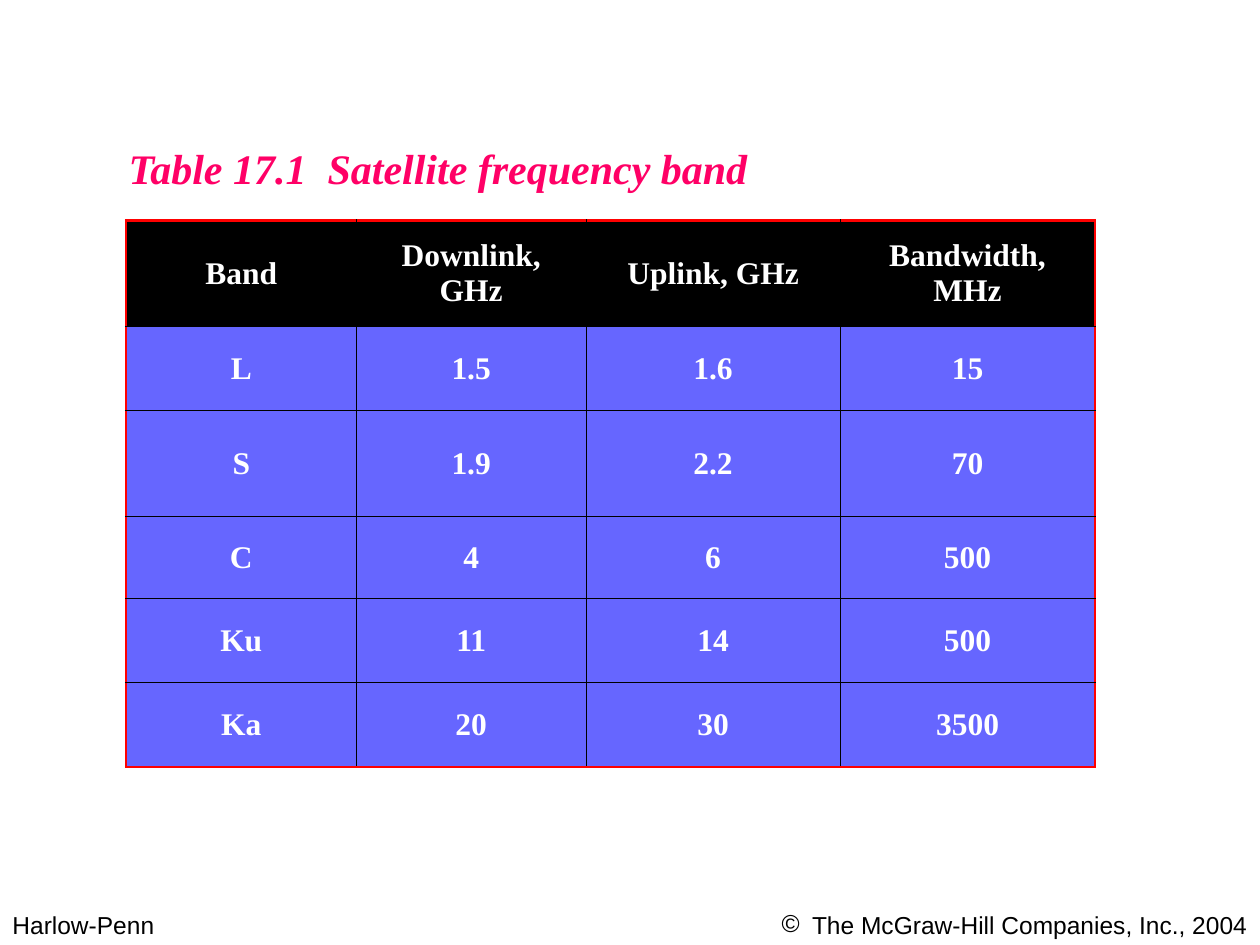
"""Build a slide with a table of satellite frequency bands."""
from dataclasses import dataclass

from lxml.etree import SubElement
from pptx import Presentation
from pptx.dml.color import RGBColor
from pptx.enum.text import MSO_ANCHOR as Anchor, PP_ALIGN as Align
from pptx.oxml.ns import qn
from pptx.util import Inches, Pt


@dataclass(frozen=True)
class Theme:
    title: str = "FF0066"
    ink: str = "000000"
    light: str = "FFFFFF"
    body: str = "6666FF"
    frame: str = "FF0000"
    serif: str = "Times New Roman"
    sans: str = "Arial"
    title_size: int = 24
    table_size: int = 18
    footer_size: int = 14
    frame_width: float = 1.47
    grid_width: float = 0.45


theme = Theme()


def style(paragraph, name, size, color, bold=False, italic=False):
    font = paragraph.font
    font.name, font.size = name, Pt(size)
    font.bold, font.italic = bold, italic
    font.color.rgb = RGBColor.from_string(color)


def add_border(cell, side, outer):
    width = theme.frame_width if outer else theme.grid_width
    color = theme.frame if outer else theme.ink
    properties = cell._tc.get_or_add_tcPr()
    line = SubElement(properties, qn(f"a:ln{side}"), w=str(int(Pt(width))))
    fill = SubElement(line, qn("a:solidFill"))
    SubElement(fill, qn("a:srgbClr"), val=color)


deck = Presentation()
deck.slide_width, deck.slide_height = Inches(10), Inches(7.5)
page = deck.slides.add_slide(deck.slide_layouts[5])

footers = [
    (0, 2.42, Align.LEFT, "Harlow-Penn"),
    (5, 5, Align.RIGHT, "The McGraw-Hill Companies, Inc., 2004"),
]
for left, width, align, text in footers:
    box = page.shapes.add_textbox(Inches(left), Inches(7.17), Inches(width), Inches(0.34))
    box.text_frame.word_wrap = True
    para = box.text_frame.paragraphs[0]
    para.text = text
    para.alignment = align
    if align == Align.RIGHT:
        properties = para._p.get_or_add_pPr()
        properties.set("marL", str(Inches(0.24)))
        properties.set("indent", str(-Inches(0.24)))
        SubElement(properties, qn("a:buFont"), typeface=theme.sans)
        SubElement(properties, qn("a:buChar"), char="©")
    style(para, theme.sans, theme.footer_size, theme.ink)

title = page.shapes.title
title.left, title.top = Inches(0.92), Inches(1.08)
title.width, title.height = Inches(5.14), Inches(0.5)
title.text_frame.word_wrap = False
title.text_frame.vertical_anchor = Anchor.TOP
para = title.text_frame.paragraphs[0]
para.text = "Table 17.1\tSatellite frequency band"
para.alignment = Align.LEFT
tabs = SubElement(para._p.get_or_add_pPr(), qn("a:tabLst"))
SubElement(tabs, qn("a:tab"), pos=str(Inches(1.58)), algn="l")
style(para, theme.serif, theme.title_size, theme.title, bold=True, italic=True)

rows = [
    ("Band", "Downlink, GHz", "Uplink, GHz", "Bandwidth, MHz"),
    ("L", "1.5", "1.6", "15"),
    ("S", "1.9", "2.2", "70"),
    ("C", "4", "6", "500"),
    ("Ku", "11", "14", "500"),
    ("Ka", "20", "30", "3500"),
]
widths = [1.83, 1.82, 2.02, 2.02]
heights = [0.84, 0.67, 0.84, 0.65, 0.67, 0.67]
table = page.shapes.add_table(
    len(rows), len(widths), Inches(1), Inches(1.75), Inches(sum(widths)), Inches(sum(heights))
).table
table.horz_banding = False
for column, width in zip(table.columns, widths):
    column.width = Inches(width)
for row, height in zip(table.rows, heights):
    row.height = Inches(height)

last_row, last_column = len(rows) - 1, len(widths) - 1
for r, values in enumerate(rows):
    for c, value in enumerate(values):
        cell = table.cell(r, c)
        add_border(cell, "L", c == 0)
        add_border(cell, "R", c == last_column)
        add_border(cell, "T", r == 0)
        add_border(cell, "B", r == last_row)
        cell.fill.solid()
        cell.fill.fore_color.rgb = RGBColor.from_string(theme.body if r else theme.ink)
        cell.vertical_anchor = Anchor.MIDDLE
        para = cell.text_frame.paragraphs[0]
        para.text = value
        para.alignment = Align.CENTER
        style(para, theme.serif, theme.table_size, theme.light, bold=True)

deck.save("out.pptx")
